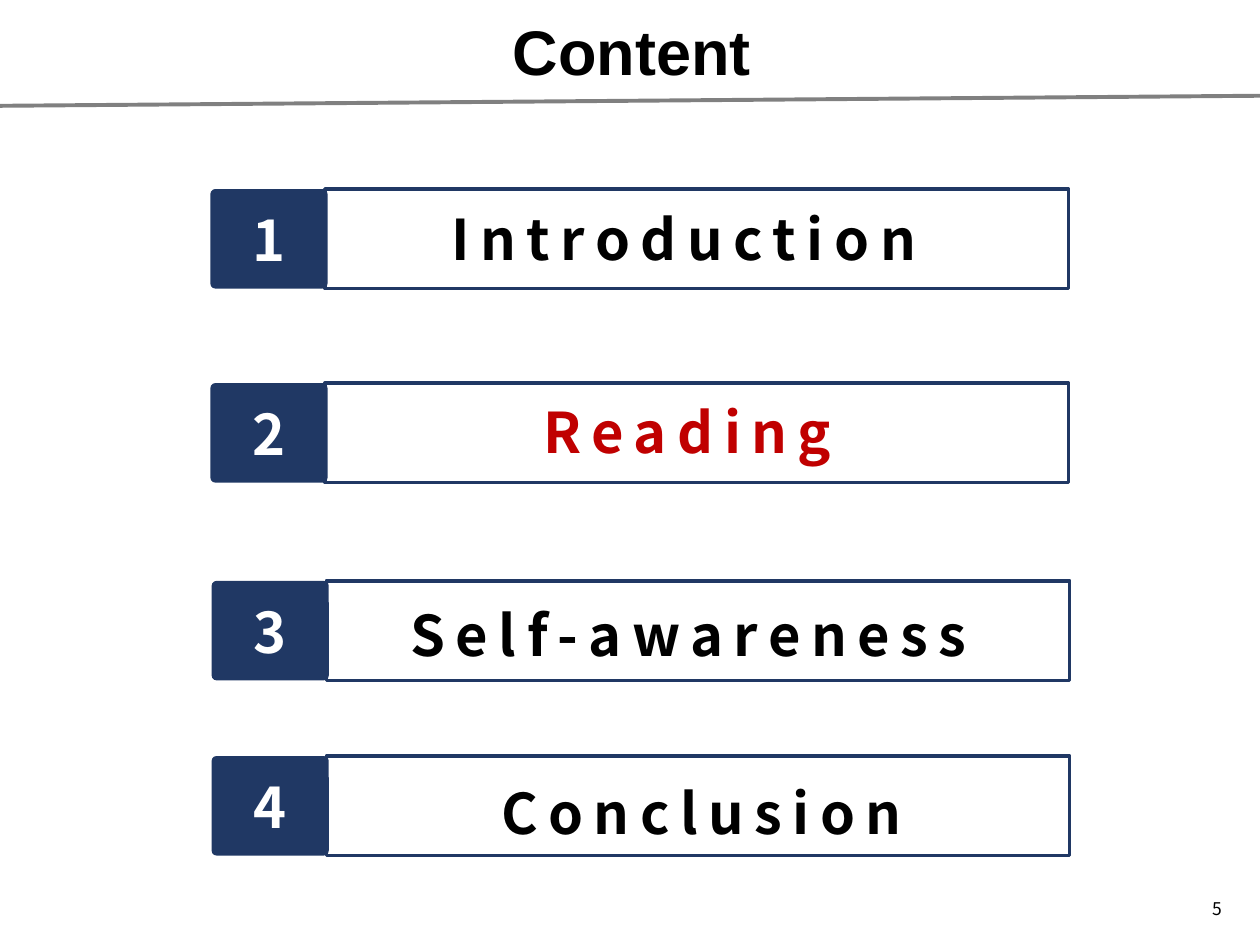
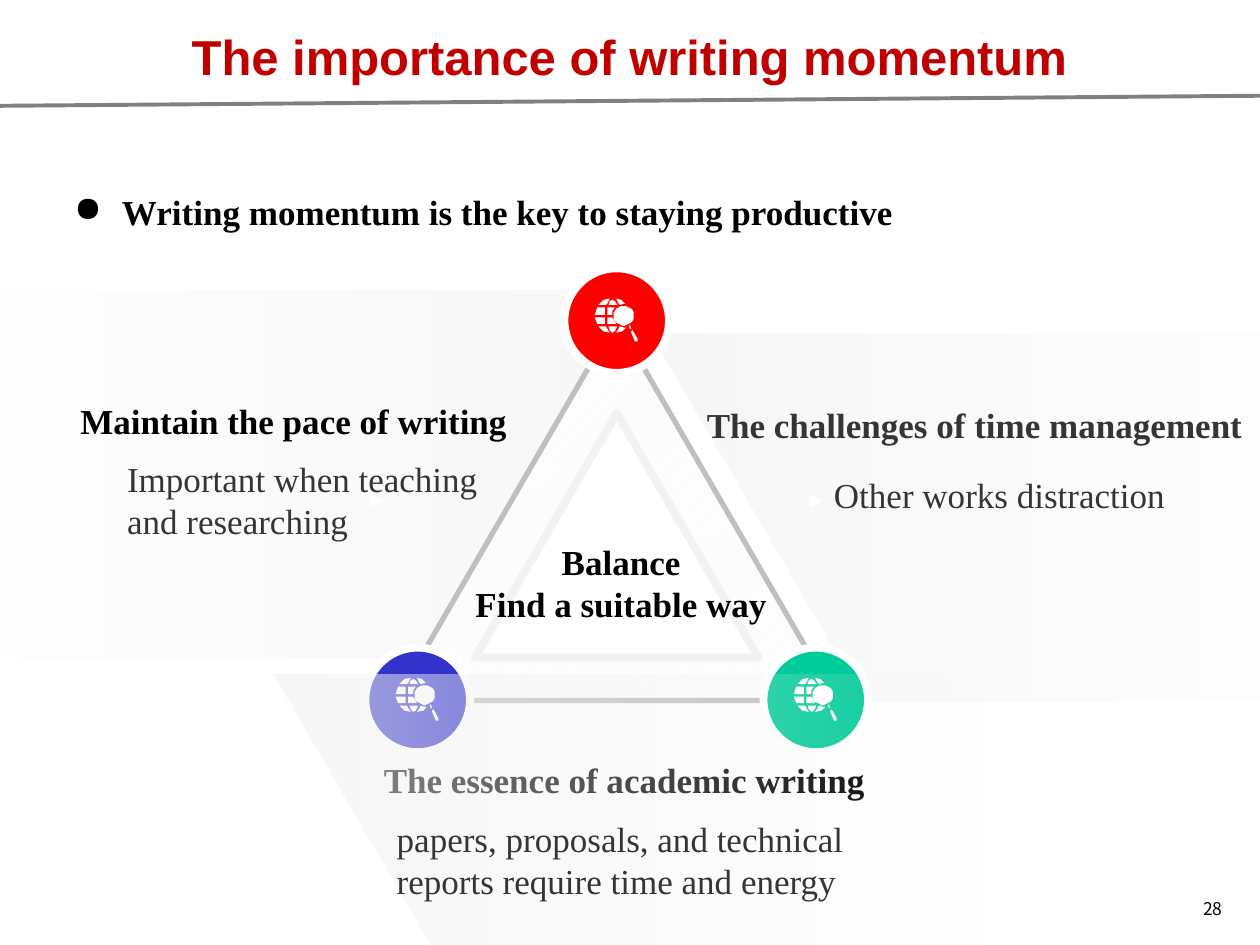
"""Build a contents slide and a slide on writing momentum."""
import math
from dataclasses import dataclass
from typing import Any, Optional

import pptx
import pptx.dml.color
import pptx.enum.dml
import pptx.enum.shapes
import pptx.enum.text
import pptx.oxml.ns
import pptx.util
from lxml import etree

Inches = pptx.util.Inches
Shape = pptx.enum.shapes.MSO_SHAPE
Align = pptx.enum.text.PP_ALIGN
Anchor = pptx.enum.text.MSO_ANCHOR
Place = tuple[float, float, float, float]
Points = list[tuple[float, float]]


@dataclass(frozen=True)
class Theme:
    black: str = "000000"
    white: str = "FFFFFF"
    navy: str = "203864"
    accent: str = "C00000"
    slate: str = "333639"
    rule: str = "808080"
    edge: str = "BFBFBF"
    pale: str = "F2F2F2"
    red: str = "FF0000"
    blue: str = "3333CC"
    green: str = "00CC99"
    head: str = "Arial"
    sans: str = "Noto Sans CJK SC"
    serif: str = "Times New Roman"
    large: int = 36
    item: int = 32
    title: int = 28
    body: int = 20
    small: int = 10


THEME = Theme()


@dataclass(frozen=True)
class Row:
    text: str
    left: float
    top: float
    label: Place
    color: str = THEME.black


@dataclass(frozen=True)
class Node:
    left: float
    top: float
    color: str


@dataclass(frozen=True)
class Panel:
    left: float
    top: float
    mirror: bool = False


@dataclass(frozen=True)
class Note:
    text: str
    at: Place
    color: str = THEME.black
    bold: bool = True
    align: Any = Align.LEFT
    bullet: Optional[str] = None


ROWS = [
    Row("Introduction", 1.67, 1.5, (2.91, 1.57, 5.04, 1.18)),
    Row("Reading ", 1.67, 3.04, (3.03, 3.11, 5.04, 0.64), THEME.accent),
    Row("Self-awareness ", 1.68, 4.61, (2.61, 4.72, 5.9, 0.64)),
    Row("Conclusion", 1.68, 6, (3.05, 6.13, 5.04, 0.98)),
]
NODES = [
    Node(4.48, 2.13, THEME.red),
    Node(2.9, 5.14, THEME.blue),
    Node(6.06, 5.14, THEME.green),
]
SIDES = [Panel(-0.54, 2.31, True), Panel(5.16, 2.65)]
BASE = Panel(2.17, 5.35)
NOTES = [
    Note("Maintain the pace of writing", (0.54, 3.12, 5, 0.44)),
    Note("The challenges of time management", (3.6, 3.15, 6.36, 0.44),
         THEME.slate, align=Align.RIGHT),
    Note("The essence of academic writing", (1.8, 5.97, 6.31, 0.77),
         align=Align.CENTER),
    Note("Writing momentum is the key to staying productive",
         (0.49, 1.46, 7.43, 0.44), bullet="●"),
    Note("Important when teaching and researching",
         (0.91, 3.58, 3.09, 0.77), THEME.slate, False),
    Note("Other works distraction", (6.52, 3.71, 3.09, 0.44),
         THEME.slate, False),
]
FRONT = [
    Note("papers, proposals, and technical reports require time and energy",
         (3.05, 6.44, 4.22, 0.77), THEME.slate, False),
    Note("Balance\nFind a suitable way", (1.75, 4.24, 6.36, 0.77),
         align=Align.CENTER),
]
LENS = [(23 + 8 * math.cos(math.tau * n / 24),
         13.5 + 8 * math.sin(math.tau * n / 24)) for n in range(24)]
GLOBE: list[Points] = [
    [(30, 25), (34, 32), (34, 34), (32, 34), (29, 27), (29, 26)],
    [(20, 22), (23, 23), (25, 23), (22, 26), (17, 27), (19, 24)],
    [(11, 22), (18, 22), (16, 26), (14, 27), (12, 25)],
    [(3, 22), (9, 22), (10, 24), (12, 27), (7, 26)],
    [(28, 21), (29, 24), (28, 24), (27, 22)],
    [(10, 15), (14, 15), (15, 17), (17, 20), (10, 20)],
    [(0, 15), (8, 15), (8, 20), (2, 20)],
    [(10, 7), (16, 7), (14, 10), (14, 13), (10, 13)],
    [(2, 7), (8, 7), (8, 13), (0, 13)],
    LENS,
    [(14, 1), (16, 2), (18, 5), (11, 5), (12, 2)],
    [(17, 0), (21, 1), (24, 4), (20, 5), (19, 4)],
    [(12, 0), (10, 4), (9, 5), (3, 5), (7, 1)],
]
SLANT: Points = [(0, 0), (567, 0), (567, 291), (170, 292)]


def rgb(code: str) -> pptx.dml.color.RGBColor:
    return pptx.dml.color.RGBColor.from_string(code)


def child(node: Any, tag: str, **attrs: str) -> Any:
    return etree.SubElement(node, pptx.oxml.ns.qn(tag), attrs)


def write(frame: Any, text: str, *, size: int, font: str = THEME.serif,
          color: str = THEME.black, bold: bool = False,
          align: Any = Align.LEFT, anchor: Any = Anchor.TOP,
          wrap: bool = True, track: int = 0,
          bullet: Optional[str] = None) -> None:
    frame.auto_size = pptx.enum.text.MSO_AUTO_SIZE.NONE
    frame.word_wrap = wrap
    frame.vertical_anchor = anchor
    for n, words in enumerate(text.split("\n")):
        para = frame.add_paragraph() if n else frame.paragraphs[0]
        para.alignment = align
        if bullet:
            props = para._p.get_or_add_pPr()
            props.set("marL", str(Inches(0.38)))
            props.set("indent", str(-Inches(0.38)))
            child(child(props, "a:buClr"), "a:srgbClr", val=color)
            child(props, "a:buChar", char=bullet)
        run = para.add_run()
        run.text = words
        run.font.name = font
        run.font.size = pptx.util.Pt(size)
        run.font.bold = bold
        run.font.color.rgb = rgb(color)
        if track:
            run._r.get_or_add_rPr().set("spc", str(track * 100))


def label(slide: Any, at: Place, text: str, **style: Any) -> None:
    box = slide.shapes.add_textbox(*map(Inches, at))
    write(box.text_frame, text, **style)


def note(slide: Any, item: Note) -> None:
    label(slide, item.at, item.text, size=THEME.body, color=item.color,
          bold=item.bold, align=item.align, bullet=item.bullet)


def paint(shape: Any, color: str, edge: Optional[str] = None,
          width: float = 0) -> None:
    shape.shadow.inherit = False
    shape.fill.solid()
    shape.fill.fore_color.rgb = rgb(color)
    if edge:
        shape.line.color.rgb = rgb(edge)
        shape.line.width = pptx.util.Pt(width)
    else:
        shape.line.fill.background()


def block(slide: Any, kind: Any, at: Place, color: str,
          edge: Optional[str] = None, width: float = 0) -> Any:
    shape = slide.shapes.add_shape(kind, *map(Inches, at))
    paint(shape, color, edge, width)
    return shape


def outline(slide: Any, left: float, top: float, loops: list[Points]) -> Any:
    pen = slide.shapes.build_freeform(*loops[0][0], scale=Inches(0.01))
    pen.add_line_segments(loops[0][1:], close=True)
    for loop in loops[1:]:
        pen.move_to(*loop[0])
        pen.add_line_segments(loop[1:], close=True)
    shape = pen.convert_to_shape(Inches(left), Inches(top))
    paint(shape, THEME.white)
    return shape


def panel(slide: Any, item: Panel) -> None:
    loop = [(567 - x, y) for x, y in SLANT] if item.mirror else SLANT
    shape = outline(slide, item.left, item.top, [loop])
    shape.fill.gradient()
    shape.fill.gradient_angle = 0
    fades = (0, 62) if item.mirror else (62, 0)
    for stop, fade in zip(shape.fill.gradient_stops, fades):
        stop.color.rgb = rgb(THEME.pale)
    codes = shape._element.spPr.iter(pptx.oxml.ns.qn("a:srgbClr"))
    for code, fade in zip(list(codes), fades):
        child(code, "a:alpha", val=str(fade * 1000))


def node(slide: Any, item: Node) -> None:
    block(slide, Shape.OVAL, (item.left, item.top, 0.83, 0.83),
          item.color, THEME.white, 4.5)
    outline(slide, item.left + 0.24, item.top + 0.24, GLOBE)


def row(slide: Any, item: Row, count: int) -> None:
    block(slide, Shape.RECTANGLE, (item.left + 0.91, item.top, 5.9, 0.79),
          THEME.white, THEME.navy, 2)
    tab = block(slide, Shape.ROUNDED_RECTANGLE,
                (item.left, item.top, 0.93, 0.79), THEME.navy)
    tab.adjustments[0] = 0.05
    style = dict(size=THEME.item, font=THEME.sans, bold=True,
                 align=Align.CENTER)
    write(tab.text_frame, str(count), color=THEME.white,
          anchor=Anchor.MIDDLE, **style)
    label(slide, item.label, item.text, color=item.color, track=6, **style)


def start(deck: Any, text: str, at: Place, size: int, color: str,
          page: int) -> Any:
    slide = deck.slides.add_slide(deck.slide_layouts[5])
    line = slide.shapes.add_connector(
        pptx.enum.shapes.MSO_CONNECTOR.STRAIGHT,
        Inches(0), Inches(0.84), Inches(10), Inches(0.76))
    line.line.color.rgb = rgb(THEME.rule)
    line.line.width = pptx.util.Pt(2.25)
    child(line._element.spPr, "a:effectLst")
    label(slide, (9.33, 7.01, 0.47, 0.4), str(page), size=THEME.small,
          font=THEME.sans, align=Align.RIGHT, anchor=Anchor.MIDDLE)
    head = slide.shapes.title
    head.left, head.top, head.width, head.height = map(Inches, at)
    write(head.text_frame, text, size=size, font=THEME.head, color=color,
          bold=True, align=Align.CENTER, wrap=False)
    return slide


def content(deck: Any) -> None:
    slide = start(deck, "Content", (3.96, 0.05, 2.11, 0.71), THEME.large,
                  THEME.black, 5)
    for count, item in enumerate(ROWS, 1):
        row(slide, item, count)


def balance(deck: Any) -> None:
    slide = start(deck, "The importance of writing momentum",
                  (1.38, 0.16, 7.23, 0.57), THEME.title, THEME.accent, 28)
    for side in SIDES:
        panel(slide, side)
    frame = block(slide, Shape.ISOSCELES_TRIANGLE, (3.14, 2.54, 3.5, 3.02),
                  THEME.white, THEME.edge, 3)
    frame.fill.patterned()
    frame.fill.pattern = pptx.enum.dml.MSO_PATTERN.DARK_UPWARD_DIAGONAL
    frame.fill.fore_color.rgb = rgb(THEME.pale)
    frame.fill.back_color.rgb = rgb(THEME.white)
    for item in NODES:
        node(slide, item)
    block(slide, Shape.ISOSCELES_TRIANGLE, (3.77, 3.28, 2.25, 1.94),
          THEME.white, THEME.pale, 4.5)
    for left in (2.93, 6.42):
        mark = block(slide, Shape.FLOWCHART_EXTRACT,
                     (left, 3.92, 0.11, 0.11), THEME.white)
        mark.rotation = 90
    for item in NOTES:
        note(slide, item)
    panel(slide, BASE)
    for item in FRONT:
        note(slide, item)


def main() -> None:
    deck = pptx.Presentation()
    deck.slide_width, deck.slide_height = Inches(10), Inches(7.5)
    content(deck)
    balance(deck)
    deck.save("out.pptx")


if __name__ == "__main__":
    main()
